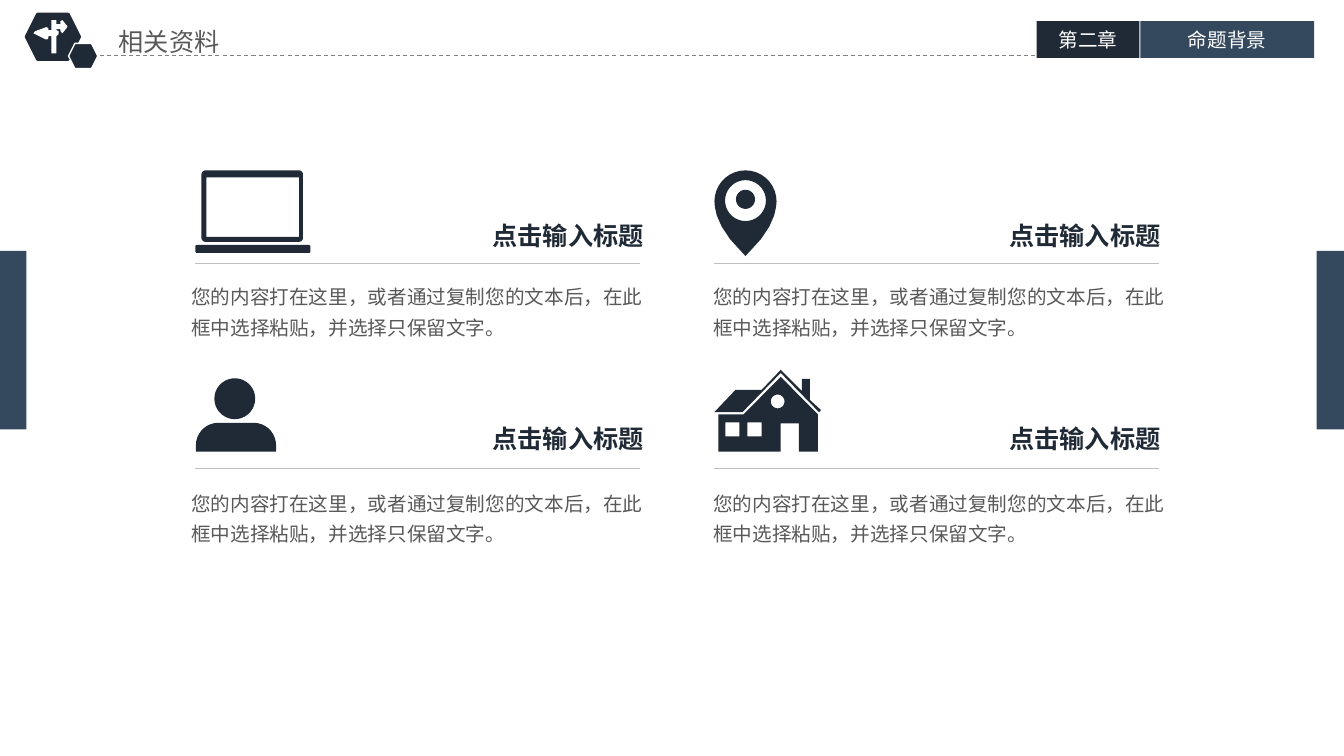
from dataclasses import dataclass
from itertools import product
from math import cos, radians, sin

from lxml import etree
from pptx import Presentation
from pptx.dml.color import RGBColor
from pptx.enum.dml import MSO_LINE
from pptx.enum.shapes import MSO_CONNECTOR, MSO_SHAPE
from pptx.enum.text import MSO_ANCHOR, MSO_AUTO_SIZE, PP_ALIGN
from pptx.oxml.ns import qn
from pptx.util import Pt

RECTANGLE, HEXAGON = MSO_SHAPE.RECTANGLE, MSO_SHAPE.HEXAGON
STRAIGHT = MSO_CONNECTOR.STRAIGHT
DASH = MSO_LINE.DASH
TOP, MIDDLE = MSO_ANCHOR.TOP, MSO_ANCHOR.MIDDLE
CENTER = PP_ALIGN.CENTER
FIT_SHAPE = MSO_AUTO_SIZE.SHAPE_TO_FIT_TEXT

FONT = "Noto Sans CJK SC"
NAVY, SLATE, WHITE = "202A36", "34495E", "FFFFFF"
TEXT_GRAY, RULE_GRAY, DASH_GRAY = "595959", "BFBFBF", "808080"
HEADING = "点击输入标题"
BODY = "您的内容打在这里，或者通过复制您的文本后，在此框中选择粘贴，并选择只保留文字。"
RULE_WIDTH = 317.5

Contour = list[tuple[float, float]]


@dataclass(frozen=True)
class Box:
    left: float
    top: float
    width: float
    height: float

    def lengths(self) -> list[Pt]:
        return [Pt(v) for v in (self.left, self.top, self.width, self.height)]


@dataclass(frozen=True)
class TextStyle:
    size: float
    color: str
    bold: bool = False
    spacing: float = 1.0


@dataclass(frozen=True)
class Panel:
    box: Box
    fill: str
    preset: int = RECTANGLE
    outline: str = ""
    outline_width: float = 0
    label: str = ""


@dataclass(frozen=True)
class Column:
    rule: float
    heading: float
    body: float


@dataclass(frozen=True)
class Row:
    rule: float
    heading: float
    body: float


@dataclass(frozen=True)
class Icon:
    contours: list[Contour]
    color: str = NAVY


def rgb(color: str) -> RGBColor:
    return RGBColor.from_string(color)


def write(frame, text: str, style: TextStyle) -> None:
    frame.text = text
    paragraph = frame.paragraphs[0]
    paragraph.line_spacing = style.spacing
    run = paragraph.runs[0]
    run.font.size = Pt(style.size)
    run.font.bold = style.bold
    run.font.color.rgb = rgb(style.color)
    run.font.name = FONT
    etree.SubElement(run._r.get_or_add_rPr(), qn("a:ea"), typeface=FONT)


def add_text(slide, box: Box, text: str, style: TextStyle,
             anchor=TOP, wrap: bool = True) -> None:
    frame = slide.shapes.add_textbox(*box.lengths()).text_frame
    frame.word_wrap = wrap
    frame.auto_size = FIT_SHAPE
    frame.vertical_anchor = anchor
    write(frame, text, style)


def add_panel(slide, panel: Panel) -> None:
    shape = slide.shapes.add_shape(panel.preset, *panel.box.lengths())
    shape.shadow.inherit = False
    shape.fill.solid()
    shape.fill.fore_color.rgb = rgb(panel.fill)
    if panel.outline:
        shape.line.color.rgb = rgb(panel.outline)
        shape.line.width = Pt(panel.outline_width)
    else:
        shape.line.fill.background()
    if panel.label:
        write(shape.text_frame, panel.label, TextStyle(14, WHITE))
        shape.text_frame.vertical_anchor = MIDDLE
        shape.text_frame.paragraphs[0].alignment = CENTER


def add_rule(slide, left: float, right: float, y: float, color: str, dash=None) -> None:
    rule = slide.shapes.add_connector(STRAIGHT, Pt(left), Pt(y), Pt(right), Pt(y))
    rule.line.color.rgb = rgb(color)
    rule.line.width = Pt(0.75)
    if dash is not None:
        rule.line.dash_style = dash
    etree.SubElement(rule._element.spPr, qn("a:effectLst"))


def add_icon(slide, icon: Icon) -> None:
    contours = [[(Pt(x), Pt(y)) for x, y in points] for points in icon.contours]
    builder = slide.shapes.build_freeform(*contours[0][0])
    for index, points in enumerate(contours):
        if index:
            builder.move_to(*points[0])
        builder.add_line_segments(points[1:], close=True)
    shape = builder.convert_to_shape()
    shape.shadow.inherit = False
    shape.fill.solid()
    shape.fill.fore_color.rgb = rgb(icon.color)
    shape.line.fill.background()


def arc(x: float, y: float, radius: float, start: int = 0, end: int = 360) -> Contour:
    return [(x + radius * cos(radians(a)), y + radius * sin(radians(a)))
            for a in range(start, end + 1, 10)]


def rounded(box: Box, radius: float = 0) -> Contour:
    left, top = box.left + radius, box.top + radius
    right, bottom = box.left + box.width - radius, box.top + box.height - radius
    corners = [(left, top), (right, top), (right, bottom), (left, bottom)]
    return [point for i, (x, y) in enumerate(corners)
            for point in arc(x, y, radius, 180 + 90 * i, 270 + 90 * i)]


def pin_outline(x: float, y: float, radius: float) -> Contour:
    side = [(20.5, 10), (17, 18), (11, 27)]
    return (arc(x, y, radius, 170, 370) + [(x + dx, y + dy) for dx, dy in side]
            + [(x, y + 39)] + [(x - dx, y + dy) for dx, dy in reversed(side)])


SIGNPOST = Icon([[
    (47.5, 18), (44.6, 14.4), (43.2, 15.1), (43.2, 17.3), (40.3, 17.3), (40.3, 14.4),
    (36.7, 14.4), (36.7, 21.6), (34.6, 21.6), (34.6, 20.2), (33.1, 19.4), (25.2, 22.3),
    (23.8, 23.8), (25.2, 24.5), (32.4, 28.1), (33.8, 28.1), (34.6, 27.4), (34.6, 25.9),
    (36.7, 25.9), (36.7, 38.2), (40.3, 38.2), (40.3, 25.9), (41.8, 24.5), (41.8, 22.3),
    (40.3, 21.6), (40.3, 20.9), (43.2, 20.9), (43.2, 22.3), (44.6, 23.8), (47.5, 20.2),
    (48.2, 18.7)]], WHITE)
LAPTOP = Icon([rounded(Box(144, 121.7, 72.6, 51.1), 3),
               rounded(Box(147.6, 126.7, 66.2, 42.5)),
               rounded(Box(139.7, 175, 82.1, 5.7), 1)])
PIN = Icon([pin_outline(532.8, 143.9, 22.2), arc(532.8, 143.3, 14.6), arc(532.8, 142.4, 6.8)])
PERSON = Icon([arc(167.8, 284.8, 14.6),
               arc(156, 318, 16, 180, 270) + arc(181.3, 318, 16, 270, 360)
               + [(197.3, 322.6), (140, 322.6)]])
HOUSE = Icon([
    [(584.6, 296), (558, 269.3), (531.4, 296), (513.4, 296), (513.4, 322.6),
     (558, 322.6), (558, 302.4), (571, 302.4), (571, 322.6), (584.6, 322.6)],
    rounded(Box(518.4, 301.7, 10.1, 10.1)), rounded(Box(534.2, 301.7, 10.1, 10.1)),
    arc(555.8, 286.8, 4.9),
    [(586.8, 293), (585.4, 294.5), (558, 266.4), (530.6, 294.5), (510.5, 294.5),
     (525.6, 278.6), (544.3, 278.6), (558, 264.2), (573.1, 279.4), (573.1, 270.7),
     (578.9, 270.7), (578.9, 285.8)]])

PANELS = [
    Panel(Box(18.7, 10.1, 38.2, 32.4), NAVY, HEXAGON, NAVY, 2),
    Panel(Box(49, 31, 20.9, 18), NAVY, HEXAGON, WHITE, 1),
    Panel(Box(740.9, 15.1, 73.4, 26.3), NAVY, label="第二章"),
    Panel(Box(815, 15.1, 124.2, 26.3), SLATE, label="命题背景"),
    Panel(Box(0, 179.3, 18.9, 127.4), SLATE),
    Panel(Box(941, 179.3, 19.4, 127.4), SLATE),
]
COLUMNS = [Column(139.7, 344.9, 129.6), Column(510.5, 714.2, 502.6)]
ROWS = [Row(187.9, 154.1, 195.1), Row(334.8, 298.8, 342.7)]


def main() -> None:
    deck = Presentation()
    deck.slide_width, deck.slide_height = Pt(960.48), Pt(540)
    slide = deck.slides.add_slide(deck.slide_layouts[6])
    add_rule(slide, 66.2, 740.9, 39.6, DASH_GRAY, DASH)
    for panel in PANELS:
        add_panel(slide, panel)
    add_text(slide, Box(77.8, 15.1, 147.6, 27.4), "相关资料", TextStyle(18, TEXT_GRAY))
    for icon in (SIGNPOST, LAPTOP, PIN, PERSON, HOUSE):
        add_icon(slide, icon)
    for row, column in product(ROWS, COLUMNS):
        add_rule(slide, column.rule, column.rule + RULE_WIDTH, row.rule, RULE_GRAY)
        add_text(slide, Box(column.heading, row.heading, 123.8, 28.8), HEADING,
                 TextStyle(18, NAVY, bold=True), MIDDLE, wrap=False)
        add_text(slide, Box(column.body, row.body, 338.4, 51.1), BODY,
                 TextStyle(14, TEXT_GRAY, spacing=1.3))
    deck.save("out.pptx")


if __name__ == "__main__":
    main()
